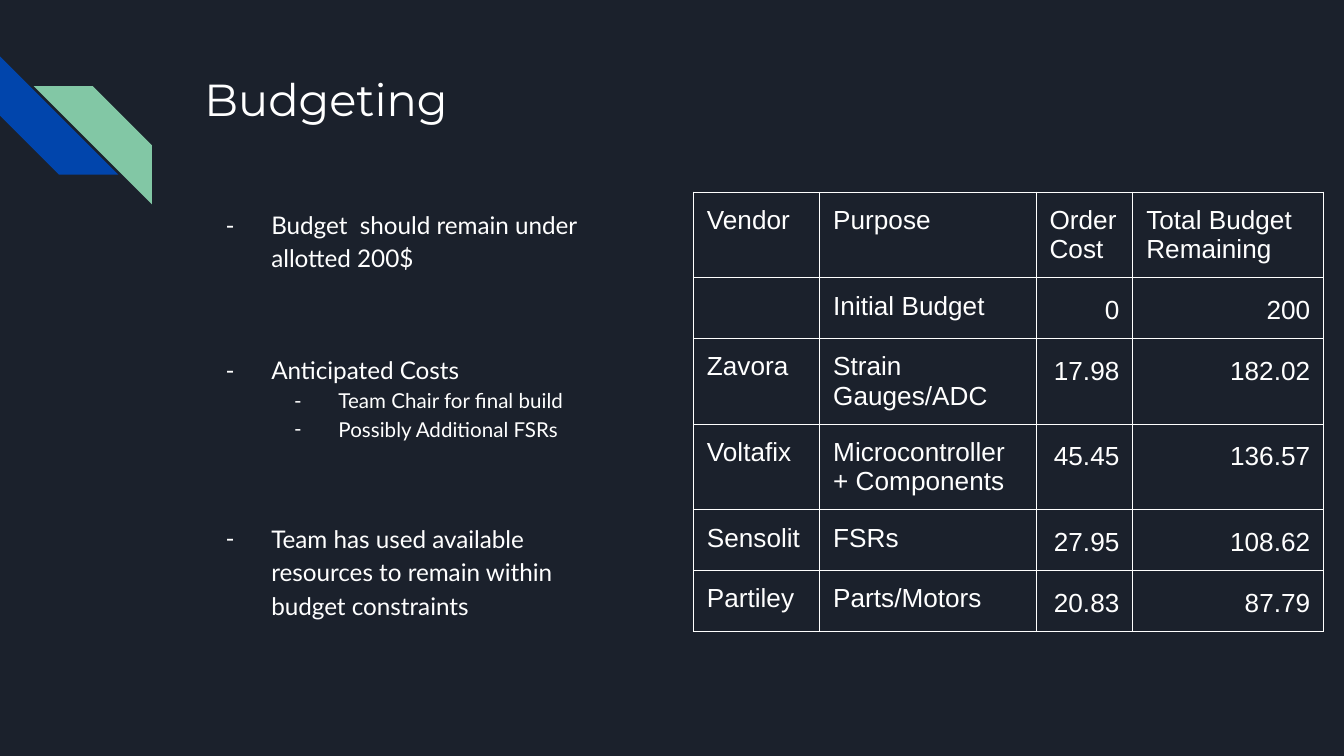
"""Build the budgeting slide with its plan and order table."""
from lxml import etree
from pptx import Presentation
from pptx import util as u
from pptx.dml.color import RGBColor
from pptx.enum import shapes, text
from pptx.oxml import ns

WIDTH = u.Inches(10)
HEIGHT = WIDTH * 9 // 16
NIGHT = RGBColor(0x1B, 0x21, 0x2C)
WHITE = RGBColor(0xFF, 0xFF, 0xFF)
BLUE = RGBColor(0x01, 0x45, 0xAC)
GREEN = RGBColor(0x82, 0xC7, 0xA5)
INSET = u.Inches(0.1)
LEADING = 1.15

PLAN = [
    ("Budget  should remain under allotted 200$", 0),
    ("Anticipated Costs", 0),
    ("Team Chair for final build", 1),
    ("Possibly Additional FSRs", 1),
    ("Team has used available resources to remain within budget constraints", 0),
]
COLUMNS = [0.94, 1.61, 0.72, 1.42]
ROWS = [0.6, 0.43, 0.43, 0.6, 0.43, 0.43]
ORDERS = [
    ("Vendor", "Purpose", "Order Cost", "Total Budget Remaining"),
    ("", "Initial Budget", "0", "200"),
    ("Zavora", "Strain Gauges/ADC", "17.98", "182.02"),
    ("Voltafix", "Microcontroller + Components", "45.45", "136.57"),
    ("Sensolit", "FSRs", "27.95", "108.62"),
    ("Partiley", "Parts/Motors", "20.83", "87.79"),
]


def area(left, top, width, height):
    """Turn percentages of the slide's size into lengths."""
    return (round(WIDTH * left / 100), round(HEIGHT * top / 100),
            round(WIDTH * width / 100), round(HEIGHT * height / 100))


def add_element(parent, tag, **attributes):
    """Append a DrawingML element to a parent."""
    return etree.SubElement(parent, ns.qn(tag), attributes)


def write(para, words, size, font, align=text.PP_ALIGN.LEFT, leading=None, before=0):
    """Put formatted words into a paragraph."""
    para.alignment = align
    para.line_spacing = leading
    para.space_before = u.Pt(before)
    span = para.add_run()
    span.text = words
    span.font.size = u.Pt(size)
    span.font.name = font
    span.font.color.rgb = WHITE


def set_frame(frame):
    """Wrap text from the top with equal margins."""
    frame.word_wrap = True
    frame.auto_size = text.MSO_AUTO_SIZE.NONE
    frame.vertical_anchor = text.MSO_ANCHOR.TOP
    frame.margin_left = frame.margin_right = INSET
    frame.margin_top = frame.margin_bottom = INSET


def add_stripe(page, place, color, rotation=0, mirrored=False):
    """Draw one diagonal stripe."""
    stripe = page.shapes.add_shape(shapes.MSO_SHAPE.DIAGONAL_STRIPE, *place)
    stripe.shadow.inherit = False
    stripe.fill.solid()
    stripe.fill.fore_color.rgb = color
    stripe.line.fill.background()
    stripe.rotation = rotation
    if mirrored:
        stripe.element.spPr.xfrm.set("flipH", "1")


def set_title(page, words, place):
    """Move and fill the title placeholder."""
    title = page.shapes.title
    title.left, title.top, title.width, title.height = place
    set_frame(title.text_frame)
    write(title.text_frame.paragraphs[0], words, 24, "Montserrat")


def set_dash(para, level):
    """Give a paragraph a hanging white dash."""
    properties = para._p.get_or_add_pPr()
    properties.set("marL", str(u.Inches(0.5 * (level + 1))))
    properties.set("indent", str(u.Inches(-0.33 if level else -0.34)))
    color = add_element(properties, "a:buClr")
    add_element(color, "a:srgbClr", val=str(WHITE))
    add_element(properties, "a:buFont", typeface="Lato")
    add_element(properties, "a:buChar", char="-")


def add_list(page, items, place):
    """Add a two-level dashed list with wide gaps between topics."""
    frame = page.shapes.add_textbox(*place).text_frame
    set_frame(frame)
    for index, (words, level) in enumerate(items):
        para = frame.add_paragraph() if index else frame.paragraphs[0]
        para.level = level
        set_dash(para, level)
        before = 42 if index and not level else 0
        write(para, words, 11 if level else 13, "Lato", leading=LEADING, before=before)


def set_borders(cell):
    """Draw thin white lines on all sides of a cell."""
    properties = cell._tc.get_or_add_tcPr()
    for index, side in enumerate(("a:lnL", "a:lnR", "a:lnT", "a:lnB")):
        line = etree.Element(ns.qn(side), w=str(u.Pt(0.75)))
        fill = add_element(line, "a:solidFill")
        add_element(fill, "a:srgbClr", val=str(WHITE))
        properties.insert(index, line)


def fill_cell(cell, words, numeric):
    """Format a cell and write its words."""
    cell.fill.background()
    cell.margin_left = cell.margin_right = INSET
    cell.margin_top = cell.margin_bottom = INSET
    set_borders(cell)
    para = cell.text_frame.paragraphs[0]
    if numeric:
        write(para, words, 14, "Arial", align=text.PP_ALIGN.RIGHT, leading=LEADING)
    elif words:
        write(para, words, 14, "Arial")
    else:
        add_element(para._p, "a:endParaRPr", sz="1400")


def add_orders(page, left, top):
    """Add the table of orders."""
    size = u.Inches(sum(COLUMNS)), u.Inches(sum(ROWS))
    table = page.shapes.add_table(len(ROWS), len(COLUMNS), left, top, *size).table
    table.first_row = table.horz_banding = False
    for column, width in zip(table.columns, COLUMNS):
        column.width = u.Inches(width)
    for row, height, record in zip(table.rows, ROWS, ORDERS):
        row.height = u.Inches(height)
        for index, (cell, words) in enumerate(zip(row.cells, record)):
            fill_cell(cell, words, numeric=index > 1 and record is not ORDERS[0])


def main():
    """Build and save the deck."""
    deck = Presentation()
    deck.slide_width, deck.slide_height = WIDTH, HEIGHT
    page = deck.slides.add_slide(deck.slide_layouts[5])
    page.background.fill.solid()
    page.background.fill.fore_color.rgb = NIGHT
    side = u.Inches(0.88)
    add_stripe(page, (0, u.Inches(0.42), side, side), BLUE, rotation=270)
    add_stripe(page, (u.Inches(0.25), u.Inches(0.64), side, side), GREEN, mirrored=True)
    set_title(page, "Budgeting", area(14.2, 7.7, 77, 17.8))
    add_list(page, PLAN, area(14.2, 25.45, 33.2, 61.7))
    add_orders(page, u.Inches(5.16), u.Inches(1.43))
    deck.save("out.pptx")


if __name__ == "__main__":
    main()
